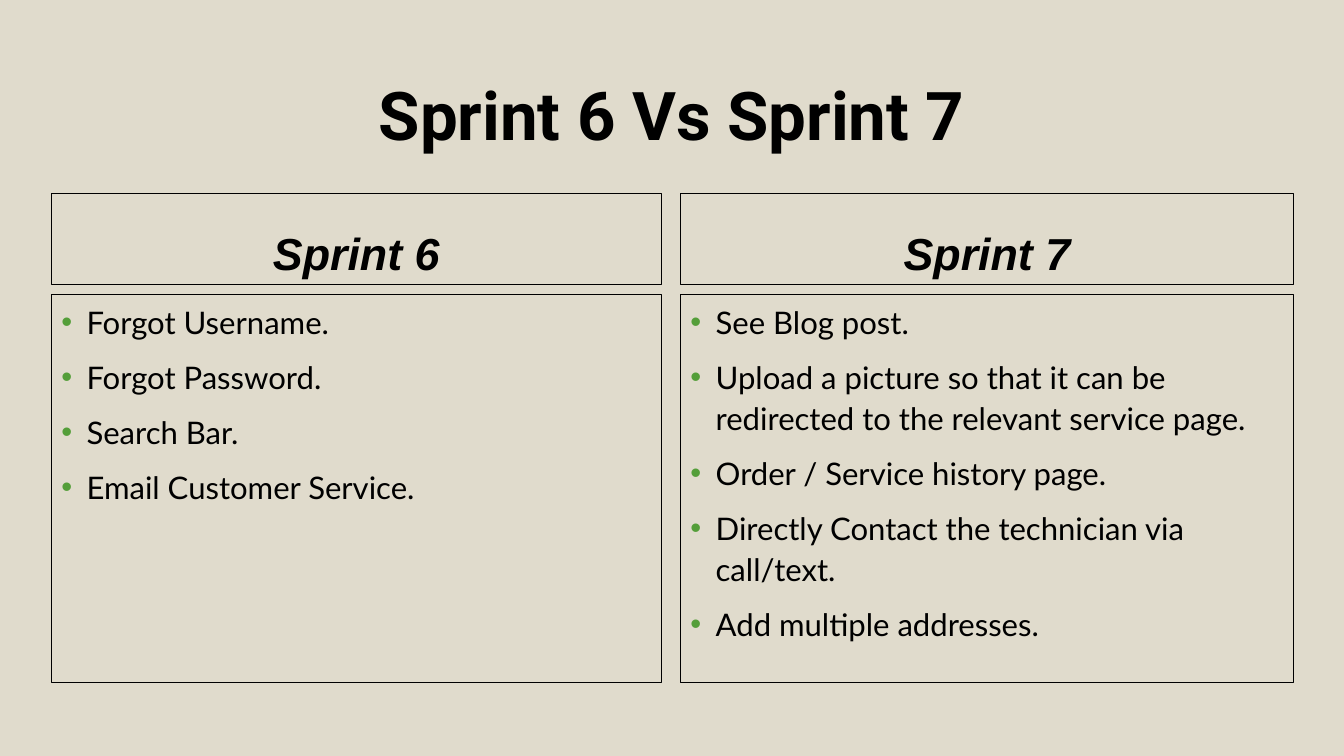
import pptx
import pptx.util
import pptx.dml.color
import pptx.enum.shapes
import pptx.enum.text
import pptx.oxml.ns
from lxml import etree

Inches = pptx.util.Inches
Pt = pptx.util.Pt
RGBColor = pptx.dml.color.RGBColor
ALIGN = pptx.enum.text.PP_ALIGN
ANCHOR = pptx.enum.text.MSO_ANCHOR

SAND = RGBColor(0xE0, 0xDB, 0xCC)
BLACK = RGBColor(0, 0, 0)
GREEN = RGBColor(0x54, 0x9E, 0x39)

HEAD_TOP, HEAD_TALL = 1.92, 0.9
LIST_TOP, LIST_TALL = 2.92, 3.85

# Left, width, heading and points of each column
COLUMNS = [
    (0.51, 6.05, "Sprint 6", [
        "Forgot Username.",
        "Forgot Password.",
        "Search Bar.",
        "Email Customer Service.",
    ]),
    (6.75, 6.08, "Sprint 7", [
        "See Blog post.",
        "Upload a picture so that it can be redirected to the relevant service page.",
        "Order / Service history page.",
        "Directly Contact the technician via call/text.",
        "Add multiple addresses.",
    ]),
]


def add_run(para, text, face, size, bold=False, slant=False):
    run = para.add_run()
    run.text = text
    font = run.font
    font.name, font.size = face, Pt(size)
    font.bold, font.italic = bold, slant
    font.color.rgb = BLACK


def add_bullet(para):
    props = para._p.get_or_add_pPr()
    props.set("marL", str(Inches(0.25)))
    props.set("indent", str(Inches(-0.25)))
    tag = pptx.oxml.ns.qn
    tint = etree.SubElement(props, tag("a:buClr"))
    etree.SubElement(tint, tag("a:srgbClr"), val=str(GREEN))
    etree.SubElement(props, tag("a:buFont"), typeface="Arial")
    etree.SubElement(props, tag("a:buChar"), char="•")


def add_frame(slide, left, top, width, height, anchor):
    box = slide.shapes.add_shape(
        pptx.enum.shapes.MSO_SHAPE.RECTANGLE,
        Inches(left), Inches(top), Inches(width), Inches(height))
    box.shadow.inherit = False
    box.fill.background()
    box.line.color.rgb = BLACK
    box.line.width = Pt(0.75)
    frame = box.text_frame
    frame.word_wrap = True
    frame.vertical_anchor = anchor
    return frame


def add_title(slide, text):
    title = slide.shapes.title
    title.left, title.top = Inches(0.5), Inches(0.4)
    title.width, title.height = Inches(12.33), Inches(1.45)
    frame = title.text_frame
    frame.vertical_anchor = ANCHOR.MIDDLE
    para = frame.paragraphs[0]
    para.alignment = ALIGN.CENTER
    add_run(para, text, "Roboto", 48, bold=True)


def add_head(slide, left, width, text):
    frame = add_frame(slide, left, HEAD_TOP, width, HEAD_TALL, ANCHOR.BOTTOM)
    para = frame.paragraphs[0]
    para.alignment = ALIGN.CENTER
    para.line_spacing = 1.1
    add_run(para, text, "Arial", 32, bold=True, slant=True)


def add_list(slide, left, width, points):
    frame = add_frame(slide, left, LIST_TOP, width, LIST_TALL, ANCHOR.TOP)
    for i, point in enumerate(points):
        para = frame.add_paragraph() if i else frame.paragraphs[0]
        add_bullet(para)
        para.alignment = ALIGN.LEFT
        para.line_spacing = 1.1
        para.space_before = Pt(10 if i else 0)
        add_run(para, point, "Lato", 22.2)


def main():
    deck = pptx.Presentation()
    deck.slide_width, deck.slide_height = Inches(13.33), Inches(7.5)
    slide = deck.slides.add_slide(deck.slide_layouts[5])

    # Backdrop and title
    slide.background.fill.solid()
    slide.background.fill.fore_color.rgb = SAND
    add_title(slide, "Sprint 6 Vs Sprint 7")

    # Two columns side by side
    for left, width, head, points in COLUMNS:
        add_head(slide, left, width, head)
        add_list(slide, left, width, points)

    deck.save("out.pptx")


if __name__ == "__main__":
    main()
